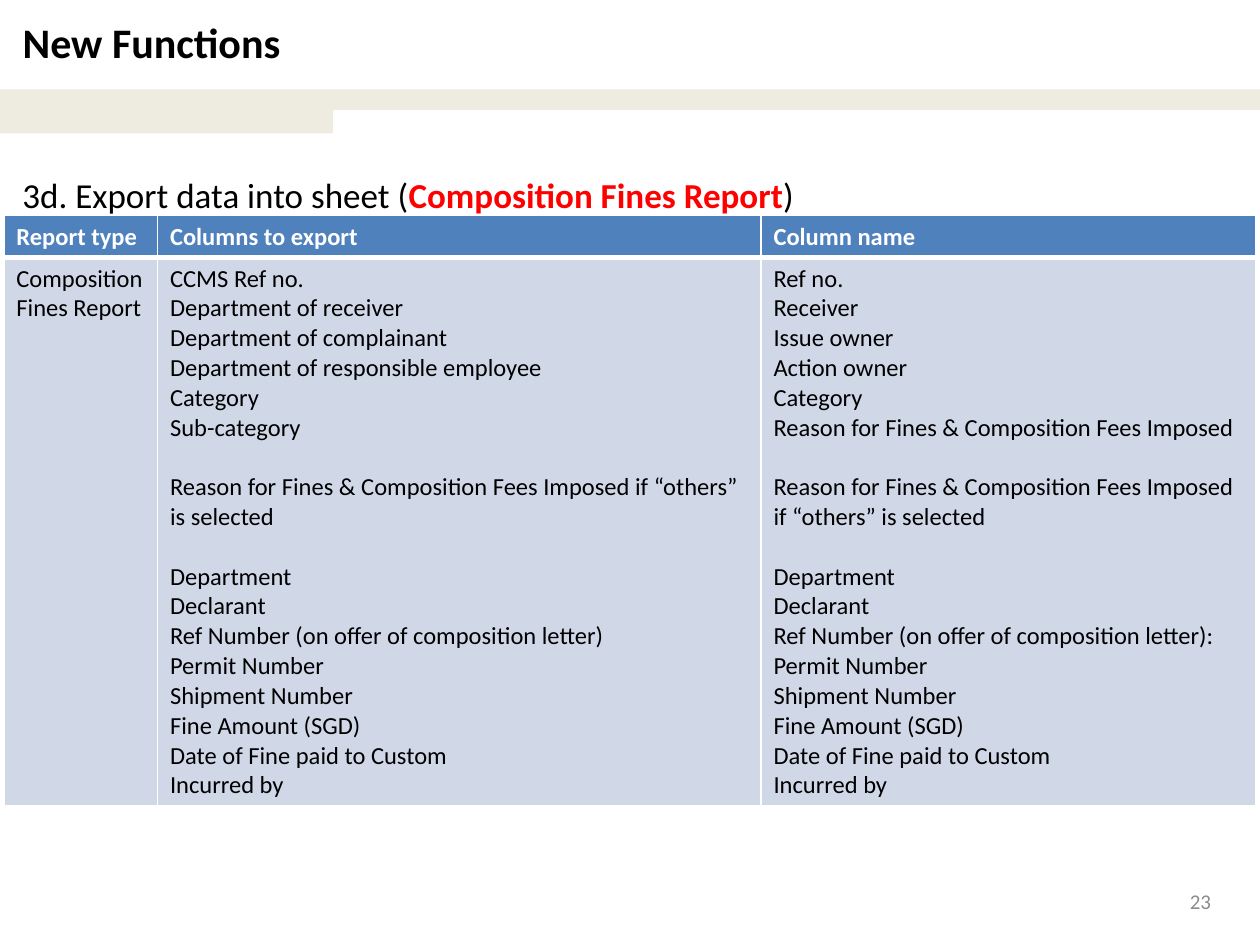
from lxml import etree
from pptx import Presentation
from pptx import util as u
from pptx.dml.color import RGBColor
from pptx.enum import shapes, text
from pptx.oxml import ns

BLACK = RGBColor(0x00, 0x00, 0x00)
WHITE = RGBColor(0xFF, 0xFF, 0xFF)
RED = RGBColor(0xFF, 0x00, 0x00)
GREY = RGBColor(0x8C, 0x8C, 0x8C)
BEIGE = RGBColor(0xEE, 0xEC, 0xE1)
BLUE = RGBColor(0x4F, 0x81, 0xBD)
PALE_BLUE = RGBColor(0xD0, 0xD8, 0xE8)

WIDTH, HEIGHT = 10, 7.5
LEFT = 0.08
LINE_GAP = 17  # one line of 14 point text

HEADINGS = ["Report type", "Columns to export", "Column name"]
COLUMN_WIDTHS = [1.22, 4.79, 3.93]
ROW_HEIGHTS = [0.33, 4.35]
REASON = "Reason for Fines & Composition Fees Imposed"
REASON_OTHERS = f"{REASON} if “others” is selected"
LETTER_REF = "Ref Number (on offer of composition letter)"
PERMIT_FIELDS = ["Permit Number", "Shipment Number", "Fine Amount (SGD)",
                 "Date of Fine paid to Custom", "Incurred by"]
EXPORT_FIELDS = [
    ["CCMS Ref no.", "Department of receiver", "Department of complainant",
     "Department of responsible employee", "Category", "Sub-category"],
    [REASON_OTHERS],
    ["Department", "Declarant", LETTER_REF, *PERMIT_FIELDS],
]
COLUMN_NAMES = [
    ["Ref no.", "Receiver", "Issue owner", "Action owner", "Category", REASON],
    [REASON_OTHERS],
    ["Department", "Declarant", LETTER_REF + ":", *PERMIT_FIELDS],
]


def place(shape, box):
    shape.left, shape.top, shape.width, shape.height = map(u.Inches, box)


def write(para, words, size=14, color=BLACK, bold=False, align=text.PP_ALIGN.LEFT):
    para.alignment = align
    span = para.add_run()
    span.text = words
    span.font.name = "Calibri"
    span.font.size = u.Pt(size)
    span.font.color.rgb = color
    span.font.bold = bold


def add_text_box(page, box, anchor=text.MSO_ANCHOR.TOP):
    frame = page.shapes.add_textbox(*map(u.Inches, box)).text_frame
    frame.word_wrap = True
    frame.vertical_anchor = anchor
    return frame.paragraphs[0]


def add_band(page, box):
    """Beige band with its lower right part cut away in white."""
    left, top, width, height = box
    cut = (left + 0.265 * width, top + height / 2, 0.735 * width, 0.29)
    for part, color in ((box, BEIGE), (cut, WHITE)):
        bar = page.shapes.add_shape(shapes.MSO_SHAPE.RECTANGLE, *map(u.Inches, part))
        bar.shadow.inherit = False
        bar.fill.solid()
        bar.fill.fore_color.rgb = color
        if color == WHITE:
            bar.line.color.rgb = WHITE
            bar.line.width = u.Pt(1.5)
        else:
            bar.line.fill.background()


def add_title(page, box):
    title = page.shapes.title
    place(title, box)
    title.text_frame.vertical_anchor = text.MSO_ANCHOR.TOP
    write(title.text_frame.paragraphs[0], "New Functions", size=24, bold=True)


def add_subject(page, box):
    para = add_text_box(page, box)
    write(para, "3d. Export data into sheet (", size=20)
    write(para, "Composition Fines Report", size=20, color=RED, bold=True)
    write(para, ")", size=20)


def set_borders(cell, **points):
    """Give the cell white borders, with widths named by side: L, R, T, B."""
    properties = cell._tc.get_or_add_tcPr()
    for index, (side, width) in enumerate(points.items()):
        line = etree.Element(ns.qn(f"a:ln{side}"), w=str(u.Pt(width)))
        fill = etree.SubElement(line, ns.qn("a:solidFill"))
        etree.SubElement(fill, ns.qn("a:srgbClr"), val=str(WHITE))
        properties.insert(index, line)


def fill_cell(cell, groups, **style):
    """Write one paragraph per entry, with a line's gap between groups."""
    frame = cell.text_frame
    for group_number, group in enumerate(groups):
        for number, words in enumerate(group):
            first = group_number == number == 0
            para = frame.paragraphs[0] if first else frame.add_paragraph()
            if group_number and number == 0:
                para.space_before = u.Pt(LINE_GAP)
            write(para, words, **style)


def add_field_table(page, left, top):
    box = (left, top, sum(COLUMN_WIDTHS), sum(ROW_HEIGHTS))
    table = page.shapes.add_table(2, 3, *map(u.Inches, box)).table
    for column, width in zip(table.columns, COLUMN_WIDTHS):
        column.width = u.Inches(width)
    for row, height in zip(table.rows, ROW_HEIGHTS):
        row.height = u.Inches(height)

    body = [[["Composition Fines Report"]], EXPORT_FIELDS, COLUMN_NAMES]
    for index, (heading, groups) in enumerate(zip(HEADINGS, body)):
        head_cell, body_cell = table.cell(0, index), table.cell(1, index)
        fill_cell(head_cell, [[heading]], color=WHITE, bold=True)
        fill_cell(body_cell, groups)
        set_borders(head_cell, L=1, R=1, T=1, B=3)
        set_borders(body_cell, L=1, R=1, T=3, B=1)
        for cell, color in ((head_cell, BLUE), (body_cell, PALE_BLUE)):
            cell.fill.solid()
            cell.fill.fore_color.rgb = color


def add_page_number(page, box):
    para = add_text_box(page, box, anchor=text.MSO_ANCHOR.MIDDLE)
    write(para, "23", size=12, color=GREY, align=text.PP_ALIGN.RIGHT)


def main():
    deck = Presentation()
    deck.slide_width, deck.slide_height = u.Inches(WIDTH), u.Inches(HEIGHT)
    page = deck.slides.add_slide(deck.slide_layouts[5])
    add_band(page, (0, 0.71, WIDTH, 0.35))
    add_title(page, (LEFT, 0.08, 7.08, 0.94))
    add_subject(page, (LEFT, 1.33, 9.63, 5.37))
    add_page_number(page, (9.08, 6.95, 0.63, 0.4))
    add_field_table(page, 0.03, 1.71)
    deck.save("out.pptx")


if __name__ == "__main__":
    main()
